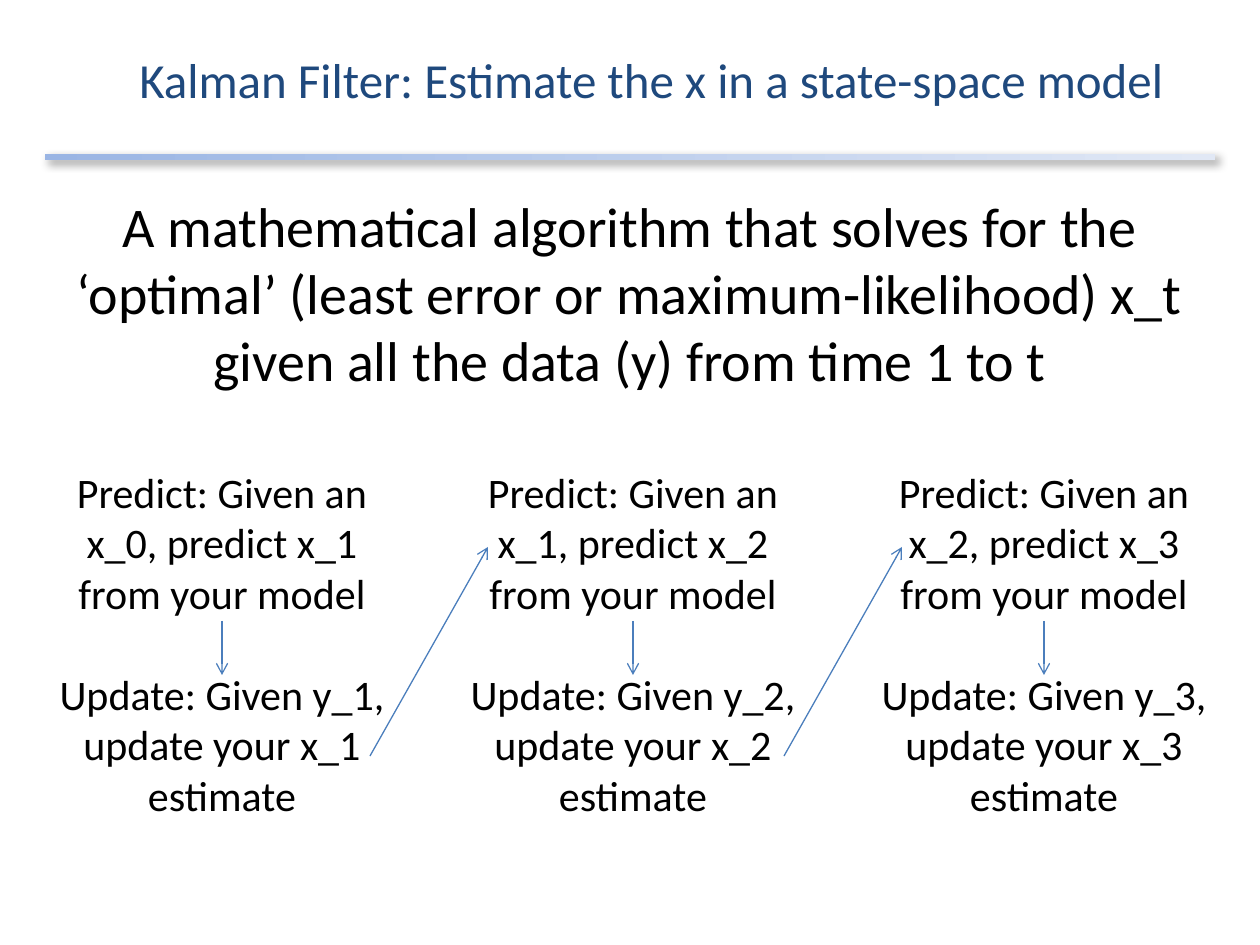
import pptx
import pptx.util
import pptx.dml.color
import pptx.enum.shapes
import pptx.enum.text
import pptx.oxml
import pptx.oxml.ns

RGB = pptx.dml.color.RGBColor
NAVY = RGB(0x1F, 0x49, 0x7D)
BLACK = RGB(0, 0, 0)
BLUE = RGB(0x4B, 0x7E, 0xBC)
BAR = (RGB(0x9A, 0xB5, 0xE4), RGB(0xE1, 0xE8, 0xF5))
NS = pptx.oxml.ns.nsdecls("a")


def px(*nums):
    """Turn pixels (126 to the inch) into EMU."""
    return [round(n * 914400 / 126) for n in nums]


def write(shape, box, lines, size, color, gap=0):
    """Place a shape and fill it with centred paragraphs, gap points apart."""
    shape.left, shape.top, shape.width, shape.height = px(*box)
    frame = shape.text_frame
    frame.word_wrap = True
    frame.auto_size = pptx.enum.text.MSO_AUTO_SIZE.NONE
    frame.vertical_anchor = pptx.enum.text.MSO_ANCHOR.MIDDLE
    for i, line in enumerate(lines):
        para = frame.add_paragraph() if i else frame.paragraphs[0]
        para.alignment = pptx.enum.text.PP_ALIGN.CENTER
        para.space_before = pptx.util.Pt(gap if i else 0)
        run = para.add_run()
        run.text = line
        run.font.name = "Calibri"
        run.font.size = pptx.util.Pt(size)
        run.font.color.rgb = color


deck = pptx.Presentation()
deck.slide_width, deck.slide_height = px(1260, 945)
slide = deck.slides.add_slide(deck.slide_layouts[5])
shapes = slide.shapes

# Heading and the shaded bar below it
write(shapes.add_textbox(0, 0, 0, 0), (63, 0, 1176, 158),
      ["Kalman Filter: Estimate the x in a state-space model"], 28, NAVY)

bar = shapes.add_shape(pptx.enum.shapes.MSO_SHAPE.RECTANGLE, *px(45, 154, 1170, 6))
bar.line.fill.background()
bar.fill.gradient()
bar.fill.gradient_angle = 0
for stop, color in zip(bar.fill.gradient_stops, BAR):
    stop.color.rgb = color
bar.shadow.inherit = False
glow = bar._element.spPr.find(pptx.oxml.ns.qn("a:effectLst"))
glow.append(pptx.oxml.parse_xml(
    f'<a:outerShdw {NS} blurRad="63500" dist="38100" dir="2700000" algn="tl">'
    '<a:srgbClr val="000000"><a:alpha val="40000"/></a:srgbClr></a:outerShdw>'))

write(shapes.title, (63, 213, 1134, 158),
      ["A mathematical algorithm that solves for the ‘optimal’ (least error or "
       "maximum-likelihood) x_t given all the data (y) from time 1 to t"], 32, BLACK)

# One column for each time step, with arrows down and on to the next step
STEPS, PITCH = 3, 411
arrows = []
for i in range(STEPS):
    left = 45 + i * PITCH
    write(shapes.add_textbox(0, 0, 0, 0), (left, 564, 354, 158),
          [f"Predict: Given an x_{i}, predict x_{i + 1} from your model",
           f"Update: Given y_{i + 1}, update your x_{i + 1} estimate"],
          24, BLACK, gap=29)
    mid = left + 177
    arrows.append((mid, 621, mid, 675))
    if i < STEPS - 1:
        start = 370 + i * 414
        arrows.append((start, 756, start + 118, 547))

for ends in arrows:
    arrow = shapes.add_connector(pptx.enum.shapes.MSO_CONNECTOR.STRAIGHT, *px(*ends))
    arrow.line.color.rgb = BLUE
    arrow.line.width = pptx.util.Pt(0.75)
    arrow.line._get_or_add_ln().append(
        pptx.oxml.parse_xml(f'<a:tailEnd {NS} type="arrow"/>'))
    arrow._element.spPr.append(pptx.oxml.parse_xml(f"<a:effectLst {NS}/>"))

deck.save("out.pptx")
